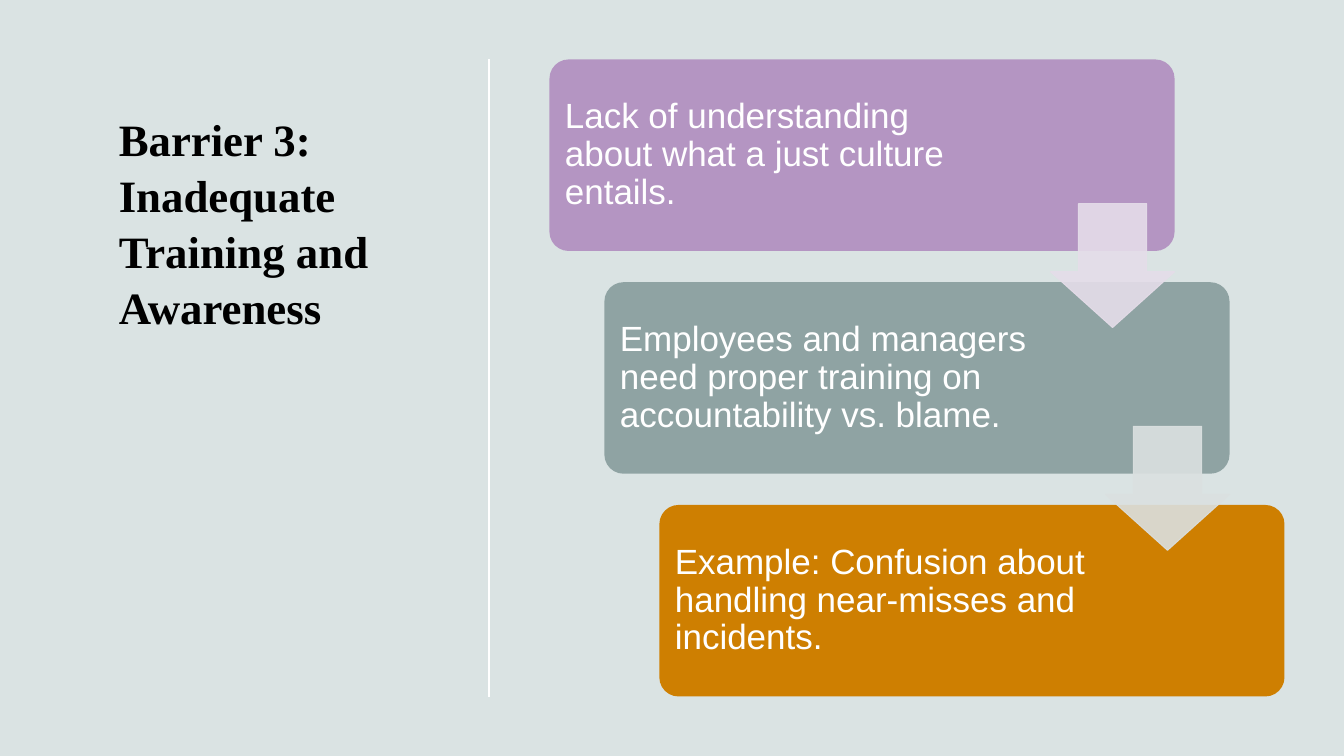
from dataclasses import dataclass

from lxml import etree
from pptx import Presentation
from pptx.dml.color import RGBColor
from pptx.enum import shapes, text
from pptx.oxml.ns import qn
from pptx.util import Inches, Pt


@dataclass(frozen=True)
class Theme:
    background: str = "DAE3E3"
    title_color: str = "000000"
    light: str = "FFFFFF"
    cards: tuple = ("B495C2", "8FA3A3", "CE7F01")
    arrows: tuple = ("E5DDE9", "DBE0E0")
    arrow_opacity: int = 90
    title_font: str = "Times New Roman"
    body_font: str = "Arial"
    title_size: int = 32
    body_size: int = 25


THEME = Theme()
TITLE = "Barrier 3: Inadequate Training and Awareness"
POINTS = (
    "Lack of understanding about what a just culture entails.",
    "Employees and managers need proper training on accountability vs. blame.",
    "Example: Confusion about handling near-misses and incidents.",
)


def write_text(shape, words, *, font, size, color, bold=False, spacing=1.0,
               anchor=text.MSO_ANCHOR.TOP, insets=(0.1, 0.05, 0.1, 0.05)):
    """Fill a shape with one left-aligned paragraph; insets are left, top, right, bottom."""
    frame = shape.text_frame
    frame.word_wrap = True
    frame.vertical_anchor = anchor
    (frame.margin_left, frame.margin_top,
     frame.margin_right, frame.margin_bottom) = map(Inches, insets)
    paragraph = frame.paragraphs[0]
    paragraph.alignment = text.PP_ALIGN.LEFT
    paragraph.line_spacing = spacing
    run = paragraph.add_run()
    run.text = words
    run.font.name = font
    run.font.size = Pt(size)
    run.font.bold = bold
    run.font.color.rgb = RGBColor.from_string(color)


def add_filled(slide, preset, box, color, adjustments):
    shape = slide.shapes.add_shape(preset, *map(Inches, box))
    shape.shadow.inherit = False
    shape.fill.solid()
    shape.fill.fore_color.rgb = RGBColor.from_string(color)
    shape.line.fill.background()
    for index, value in enumerate(adjustments):
        shape.adjustments[index] = value
    return shape


def add_title(slide, box):
    title = slide.shapes.add_textbox(*map(Inches, box))
    write_text(title, TITLE, font=THEME.title_font, size=THEME.title_size,
               color=THEME.title_color, bold=True, spacing=1.04)


def add_divider(slide, x, top, bottom):
    divider = slide.shapes.add_connector(
        shapes.MSO_CONNECTOR.STRAIGHT, *map(Inches, (x, top, x, bottom)))
    divider.line.color.rgb = RGBColor.from_string(THEME.light)
    divider.line.width = Pt(1)
    etree.SubElement(divider._element.spPr, qn("a:effectLst"))


def add_step_arrow(slide, box, color):
    arrow = add_filled(slide, shapes.MSO_SHAPE.DOWN_ARROW, box, color, (0.55, 0.45))
    arrow.line.color.rgb = RGBColor.from_string(color)
    arrow.line.width = Pt(0.75)
    for tint in arrow._element.spPr.iter(qn("a:srgbClr")):
        etree.SubElement(tint, qn("a:alpha"), val=str(THEME.arrow_opacity * 1000))


def add_staircase(slide, box):
    """Step the cards from the top left to the bottom right of the box."""
    left, top, width, height = box
    card_width, card_height, arrow_size = 6.2, 1.9, 1.23
    gaps = len(POINTS) - 1
    step_x = (width - card_width) / gaps
    step_y = (height - card_height) / gaps
    corners = [(left + i * step_x, top + i * step_y) for i in range(len(POINTS))]

    for (x, y), point, color in zip(corners, POINTS, THEME.cards):
        card = add_filled(slide, shapes.MSO_SHAPE.ROUNDED_RECTANGLE,
                          (x, y, card_width, card_height), color, (0.1,))
        write_text(card, point, font=THEME.body_font, size=THEME.body_size,
                   color=THEME.light, spacing=0.9, anchor=text.MSO_ANCHOR.MIDDLE,
                   insets=(0.1, 0.1, 1.88, 0.1))

    for (x, y), color in zip(corners, THEME.arrows):
        add_step_arrow(slide, (x + card_width - arrow_size, y + 1.43,
                               arrow_size, arrow_size), color)


def build_barrier_slide(deck):
    slide = deck.slides.add_slide(deck.slide_layouts[6])
    slide.background.fill.solid()
    slide.background.fill.fore_color.rgb = RGBColor.from_string(THEME.background)
    add_title(slide, (1.08, 1.04, 3.06, 5.13))
    add_divider(slide, 4.85, 0.59, 6.91)
    add_staircase(slide, (5.45, 0.59, 7.29, 6.32))


def main():
    deck = Presentation()
    deck.slide_width = Inches(13.33)
    deck.slide_height = Inches(7.5)
    build_barrier_slide(deck)
    deck.save("out.pptx")


if __name__ == "__main__":
    main()
